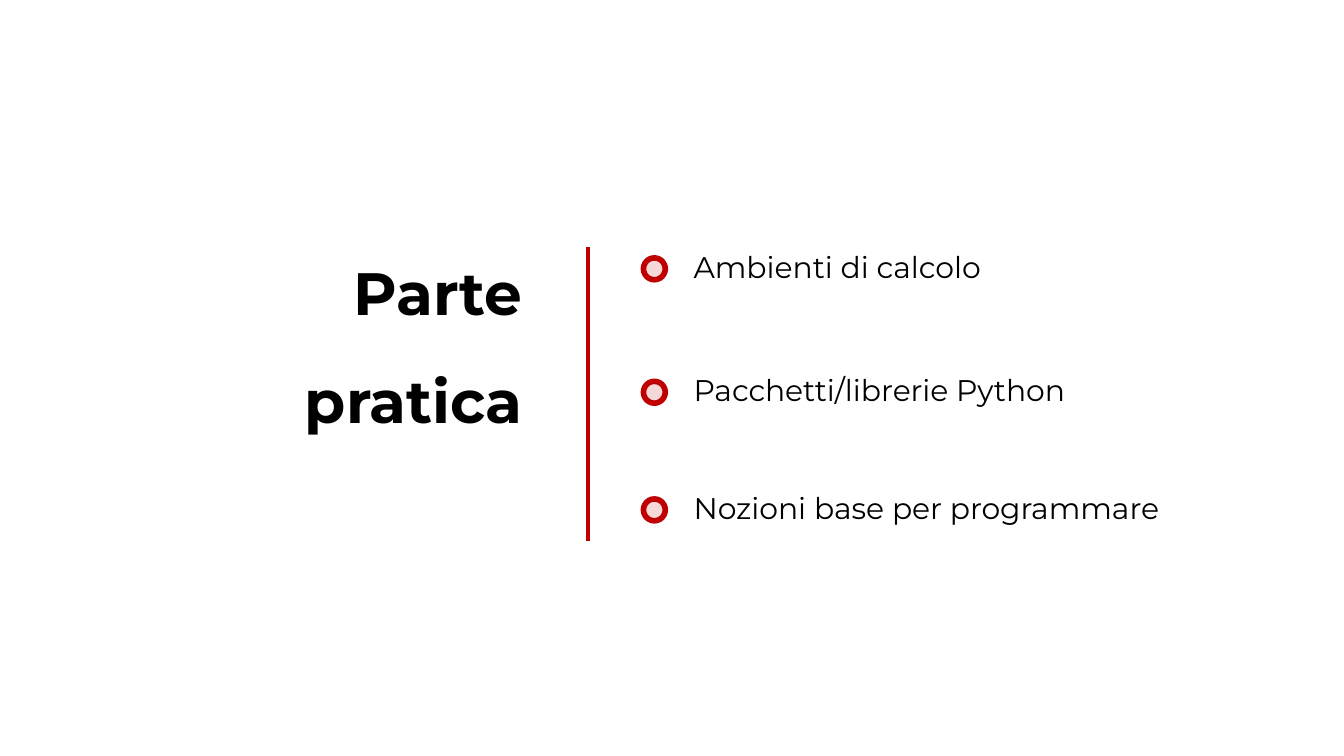
from lxml import etree
from pptx import Presentation
from pptx.dml.color import RGBColor
from pptx.enum.shapes import MSO_CONNECTOR, MSO_SHAPE
from pptx.enum.text import MSO_AUTO_SIZE, PP_ALIGN
from pptx.oxml.ns import qn
from pptx.util import Pt

PX = 5715  # 160 px to the inch
OVAL = MSO_SHAPE.OVAL
STRAIGHT = MSO_CONNECTOR.STRAIGHT
LEFT, RIGHT = PP_ALIGN.LEFT, PP_ALIGN.RIGHT
GROW = MSO_AUTO_SIZE.SHAPE_TO_FIT_TEXT
FONT, RED, BLACK = "Montserrat", "C00000", "000000"

# Top of each topic within the list, and its wording
TOPICS = [
    (0, "Ambienti di calcolo"),
    (147, "Pacchetti/librerie Python"),
    (287, "Nozioni base per programmare"),
]


def px(*lengths):
    return [n * PX for n in lengths]


def color(hex_code):
    return RGBColor.from_string(hex_code)


def add_text(s, box, lines, size, bold=False, align=LEFT, spacing=None):
    tf = s.shapes.add_textbox(*px(*box)).text_frame
    tf.word_wrap = True
    tf.auto_size = GROW
    tf.text = "\n".join(lines)
    for p in tf.paragraphs:
        p.alignment = align
        p.line_spacing = spacing
        for r in p.runs:
            r.font.name = FONT
            r.font.size = Pt(size)
            r.font.bold = bold
            r.font.color.rgb = color(BLACK)


def add_divider(s, x, y, height):
    line = s.shapes.add_connector(STRAIGHT, *px(x, y, x, y + height))
    line.line.color.rgb = color(RED)
    line.line.width = Pt(2.25)
    etree.SubElement(line._element.spPr, qn("a:effectLst"))


def add_dot(s, x, y, size):
    sp = s.shapes.add_shape(OVAL, *px(x, y, size, size))
    sp.shadow.inherit = False
    sp.fill.solid()
    sp.fill.fore_color.rgb = color(RED)
    # 15 % opaque fill
    clr = sp._element.spPr.find(qn("a:solidFill")).find(qn("a:srgbClr"))
    etree.SubElement(clr, qn("a:alpha"), val="15000")
    sp.line.color.rgb = color(RED)
    sp.line.width = Pt(3)


def add_topics(s, x, y, width):
    indent, row_height, dot = 44, 59, 26
    for top, topic in TOPICS:
        add_dot(s, x, y + top + 19, dot)
        add_text(s, (x + indent, y + top, width - indent, row_height), [topic], 16)


def main():
    prs = Presentation()
    prs.slide_width, prs.slide_height = px(1600, 900)
    s = prs.slides.add_slide(prs.slide_layouts[6])

    # Section title
    add_text(s, (30, 254, 608, 261), ["Parte", "pratica"], 32,
             bold=True, align=RIGHT, spacing=1.5)
    # Divider
    add_divider(s, 700, 294, 350)
    # Topic list
    add_topics(s, 766, 288, 745)

    prs.save("out.pptx")


if __name__ == "__main__":
    main()
